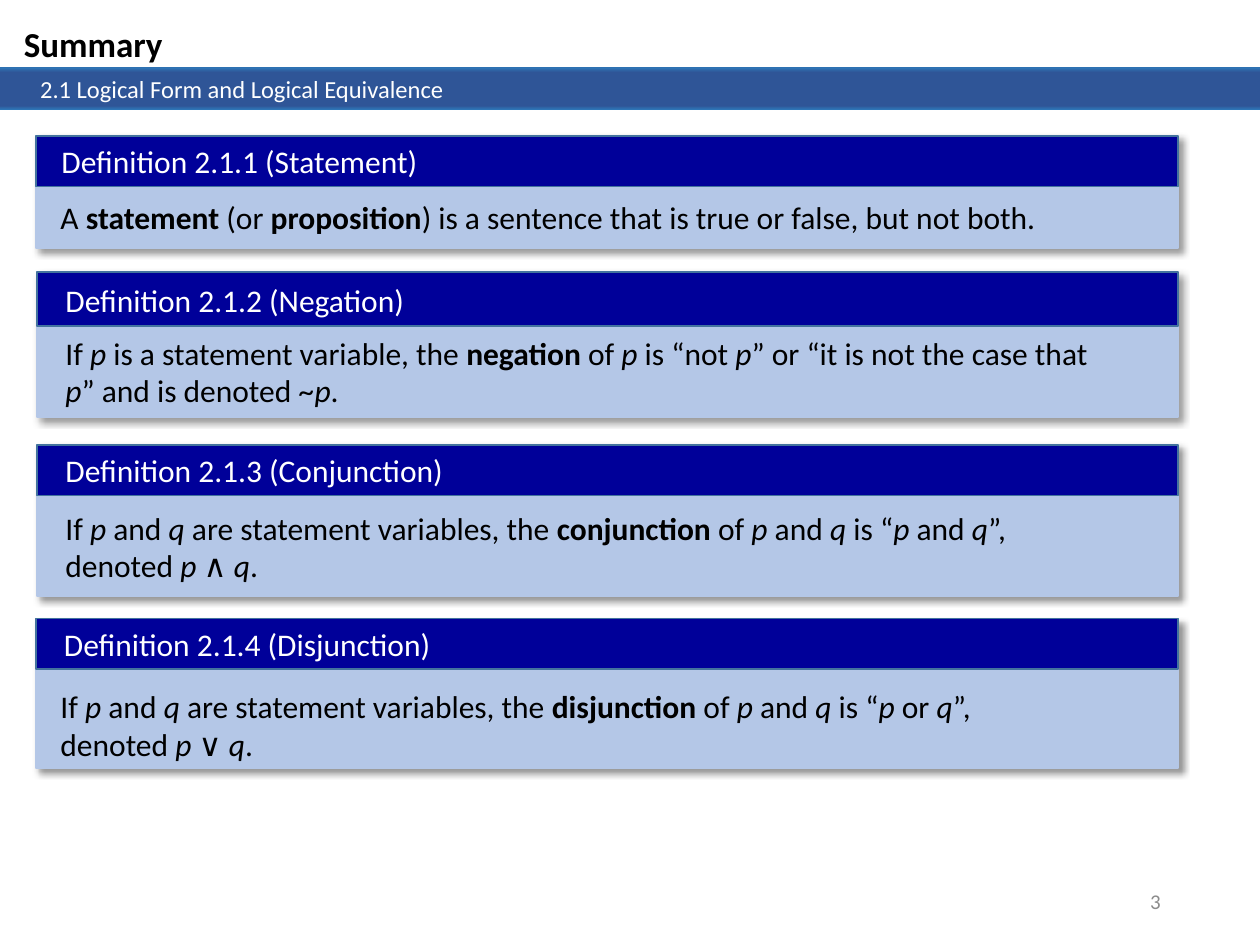
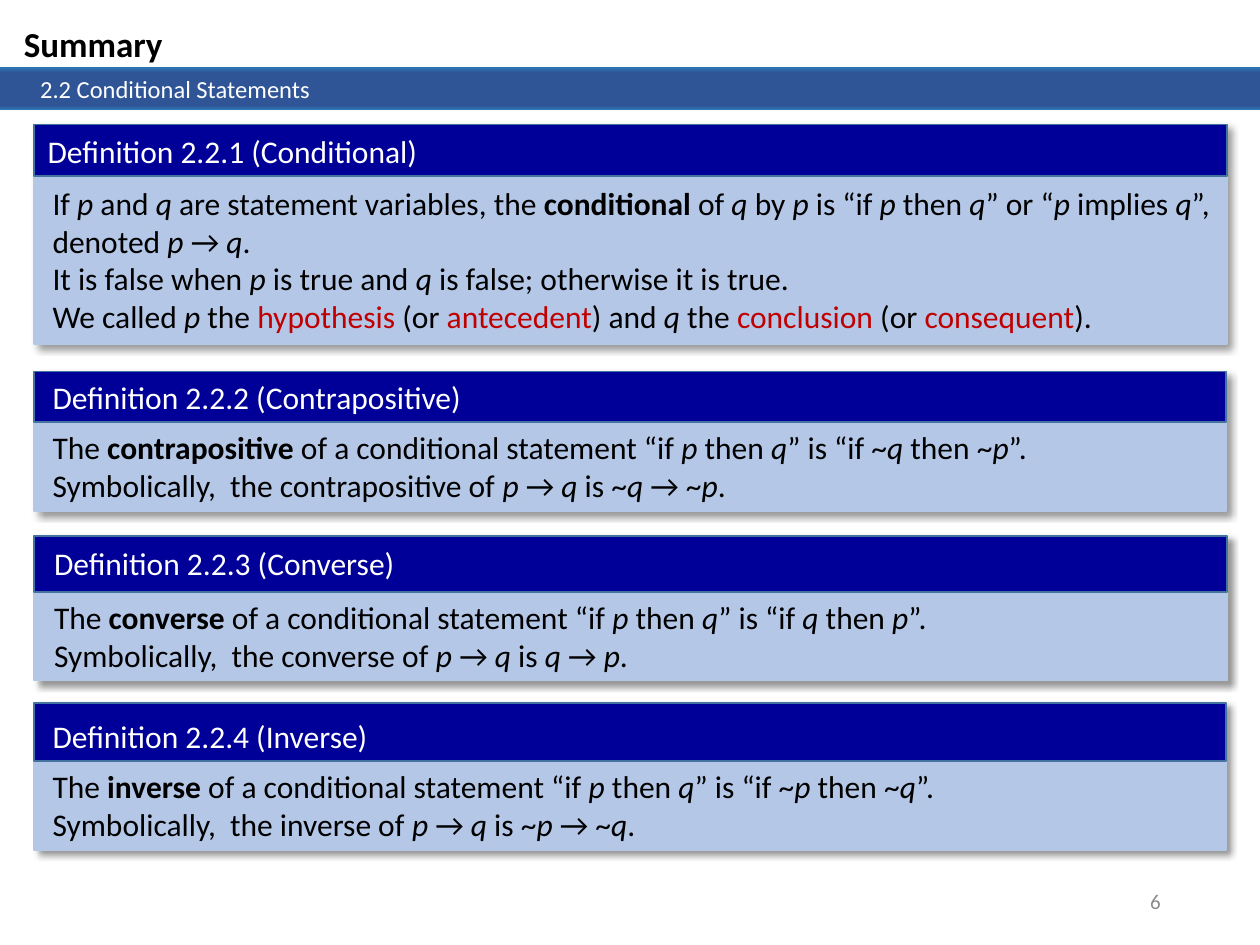
from dataclasses import dataclass

from lxml import etree
from pptx import Presentation
from pptx.dml.color import RGBColor
from pptx.enum.shapes import MSO_SHAPE
from pptx.enum.text import MSO_ANCHOR, MSO_AUTO_SIZE, PP_ALIGN
from pptx.oxml.ns import qn
from pptx.util import Cm, Pt

RECT = MSO_SHAPE.RECTANGLE
TOP, MIDDLE = MSO_ANCHOR.TOP, MSO_ANCHOR.MIDDLE
LEFT, RIGHT = PP_ALIGN.LEFT, PP_ALIGN.RIGHT
GROW = MSO_AUTO_SIZE.SHAPE_TO_FIT_TEXT

FONT = "Calibri"
COLORS = {
    "text": "000000", "white": "FFFFFF", "term": "C00000", "number": "8C8C8C",
    "band": "2F5597", "band_edge": "2E75B6",
    "card": "B4C7E7", "heading": "000099", "heading_line": "43739E",
}
BAND_STOPS = ((0, "band_edge"), (11, "band"), (91, "band"), (100, "band_edge"))
SLIDE_W, SLIDE_H = 25.4, 19.05
LINE_H, INSETS_H = 0.76, 0.25  # 18 pt line, top plus bottom inset


@dataclass
class Card:
    """A definition box in cm; text offsets count from its top left corner."""
    title: str
    body: tuple[str, ...]  # marks: *bold*, _italic_, #red#
    left: float
    top: float
    width: float
    height: float
    heading_h: float
    title_at: tuple[float, float]
    body_at: tuple[float, float]
    body_w: float
    lines: int = 2


@dataclass
class Page:
    section: str
    number: str
    title_w: float
    cards: list[Card]


def rgb(name: str) -> RGBColor:
    return RGBColor.from_string(COLORS[name])


def add_marked_runs(p, text: str, size: float, color: str, bold: bool = False) -> None:
    """Split the text at its marks and add one run for each style."""
    on = {"*": bold, "_": False, "#": False}
    chunk = ""
    for ch in text + "\0":
        if ch not in on and ch != "\0":
            chunk += ch
            continue
        if chunk:
            r = p.add_run()
            r.text = chunk
            r.font.name, r.font.size = FONT, Pt(size)
            r.font.bold, r.font.italic = on["*"], on["_"]
            r.font.color.rgb = rgb("term" if on["#"] else color)
            chunk = ""
        if ch in on:
            on[ch] = not on[ch]


def add_text(shapes, paragraphs: tuple[str, ...], left: float, top: float,
             width: float, height: float, size: float = 18, color: str = "text",
             bold: bool = False, align=LEFT, anchor=TOP, grow: bool = True) -> None:
    tf = shapes.add_textbox(Cm(left), Cm(top), Cm(width), Cm(height)).text_frame
    tf.word_wrap = True
    tf.vertical_anchor = anchor
    if grow:
        tf.auto_size = GROW
    for i, text in enumerate(paragraphs):
        p = tf.paragraphs[0] if i == 0 else tf.add_paragraph()
        p.alignment = align
        add_marked_runs(p, text, size, color, bold)


def add_rect(shapes, left: float, top: float, width: float, height: float,
             fill: str, line: str):
    sp = shapes.add_shape(RECT, Cm(left), Cm(top), Cm(width), Cm(height))
    sp.shadow.inherit = False
    sp.fill.solid()
    sp.fill.fore_color.rgb = rgb(fill)
    sp.line.color.rgb = rgb(line)
    sp.line.width = Pt(1)
    return sp


def add_shadow(sp) -> None:
    effects = sp._element.spPr.find(qn("a:effectLst"))
    shadow = etree.SubElement(effects, qn("a:outerShdw"), blurRad=str(Pt(4)),
                              dist=str(Pt(3)), dir=str(45 * 60000), algn="tl",
                              rotWithShape="0")
    clr = etree.SubElement(shadow, qn("a:srgbClr"), val=COLORS["text"])
    etree.SubElement(clr, qn("a:alpha"), val="40000")


def add_band(s, top: float, height: float):
    sp = s.shapes.add_shape(RECT, 0, Cm(top), Cm(SLIDE_W), Cm(height))
    sp.shadow.inherit = False
    sp.line.fill.background()
    sp.fill.gradient()
    sp.fill.gradient_angle = 270
    stops = sp._element.spPr.find(qn("a:gradFill")).find(qn("a:gsLst"))
    for stop in list(stops):
        stops.remove(stop)
    for pos, name in BAND_STOPS:
        stop = etree.SubElement(stops, qn("a:gs"), pos=str(pos * 1000))
        etree.SubElement(stop, qn("a:srgbClr"), val=COLORS[name])
    return sp


def add_frame(s, page: Page) -> None:
    """Title, double band with the section name, and page number."""
    add_text(s.shapes, (page.number,), 17.93, 17.65, 5.72, 1.02, 12, "number",
             align=RIGHT, anchor=MIDDLE, grow=False)
    add_band(s, 1.35, 0.76)
    tf = add_band(s, 1.37, 0.84).text_frame
    tf.margin_left = Cm(0.81)
    tf.vertical_anchor = TOP
    p = tf.paragraphs[0]
    p.alignment = LEFT
    add_marked_runs(p, page.section, 14, "white")
    add_text(s.shapes, ("Summary",), 0.23, 0.33, 6.83, 1.12, 20, bold=True)


def add_card(s, card: Card, title_w: float) -> None:
    shapes = s.shapes.add_group_shape().shapes
    place = (card.left, card.top, card.width)
    add_shadow(add_rect(shapes, *place, card.height, "card", "card"))
    add_rect(shapes, *place, card.heading_h, "heading", "heading_line")
    dx, dy = card.title_at
    add_text(shapes, (card.title,), card.left + dx, card.top + dy,
             title_w, INSETS_H + LINE_H, color="white")
    dx, dy = card.body_at
    add_text(shapes, card.body, card.left + dx, card.top + dy,
             card.body_w, INSETS_H + card.lines * LINE_H)


def compound(name: str, word: str, symbol: str) -> tuple[str, ...]:
    return (f"If _p_ and _q_ are statement variables, the *{name}* of _p_ and _q_ is "
            f"“_p_ {word} _q_”, denoted _p _{symbol} _q_.",)


def variant(name: str, first: str, second: str) -> tuple[str, ...]:
    return (f"The *{name}* of a conditional statement “if _p_ then _q_” is "
            f"“if {first} then {second}”.",
            f"Symbolically,  the {name} of _p _→ _q_ is {first} → {second}.")


STATEMENT = ("A *statement* (or *proposition*) is a sentence that is true or false, "
             "but not both.",)
NEGATION = ("If _p_ is a statement variable, the *negation* of _p_ is “not _p_” or "
            "“it is not the case that _p_” and is denoted ~_p_.",)
CONDITIONAL = (
    "If _p_ and _q_ are statement variables, the *conditional* of _q_ by _p_ is "
    "“if _p_ then _q_” or “_p_ implies _q_”, denoted _p _→ _q_.",
    "It is false when _p_ is true and _q_ is false; otherwise it is true.",
    "We called _p_ the #hypothesis# (or #antecedent#) and _q_ the #conclusion# "
    "(or #consequent#).",
)

PAGES = [
    Page("2.1 Logical Form and Logical Equivalence", "3", 11.76, [
        Card("Definition 2.1.1 (Statement)", STATEMENT,
             0.72, 2.74, 23.03, 2.26, 1.02, (0.27, 0), (0.25, 1.12), 20.75, lines=1),
        Card("Definition 2.1.2 (Negation)", NEGATION,
             0.74, 5.49, 23.01, 2.92, 1.09, (0.33, 0.05), (0.33, 1.11), 21.46),
        Card("Definition 2.1.3 (Conjunction)", compound("conjunction", "and", "∧"),
             0.74, 8.97, 23.01, 3.05, 1.02, (0.33, 0), (0.33, 1.16), 20.65),
        Card("Definition 2.1.4 (Disjunction)", compound("disjunction", "or", "∨"),
             0.72, 12.47, 23.03, 3.02, 1.02, (0.32, 0), (0.25, 1.25), 19.23),
    ]),
    Page("2.2 Conditional Statements", "6", 12.42, [
        Card("Definition 2.2.1 (Conditional)", CONDITIONAL,
             0.69, 2.51, 24.05, 4.42, 1.04, (0.02, 0.03), (0.12, 1.07), 23.93, lines=4),
        Card("Definition 2.2.2 (Contrapositive)", variant("contrapositive", "~_q_", "~_p_"),
             0.69, 7.49, 24.03, 2.82, 1.02, (0.12, 0), (0.12, 1.02), 23.57),
        Card("Definition 2.2.3 (Converse)", variant("converse", "_q_", "_p_"),
             0.69, 10.8, 24.05, 2.92, 1.14, (0.15, 0.05), (0.15, 1.14), 22.43),
        Card("Definition 2.2.4 (Inverse)", variant("inverse", "~_p_", "~_q_"),
             0.69, 14.17, 24.03, 2.97, 1.17, (0.12, 0.16), (0.12, 1.17), 19.1),
    ]),
]

prs = Presentation()
prs.slide_width, prs.slide_height = Cm(SLIDE_W), Cm(SLIDE_H)
for page in PAGES:
    s = prs.slides.add_slide(prs.slide_layouts[6])
    add_frame(s, page)
    for card in page.cards:
        add_card(s, card, page.title_w)
prs.save("out.pptx")
